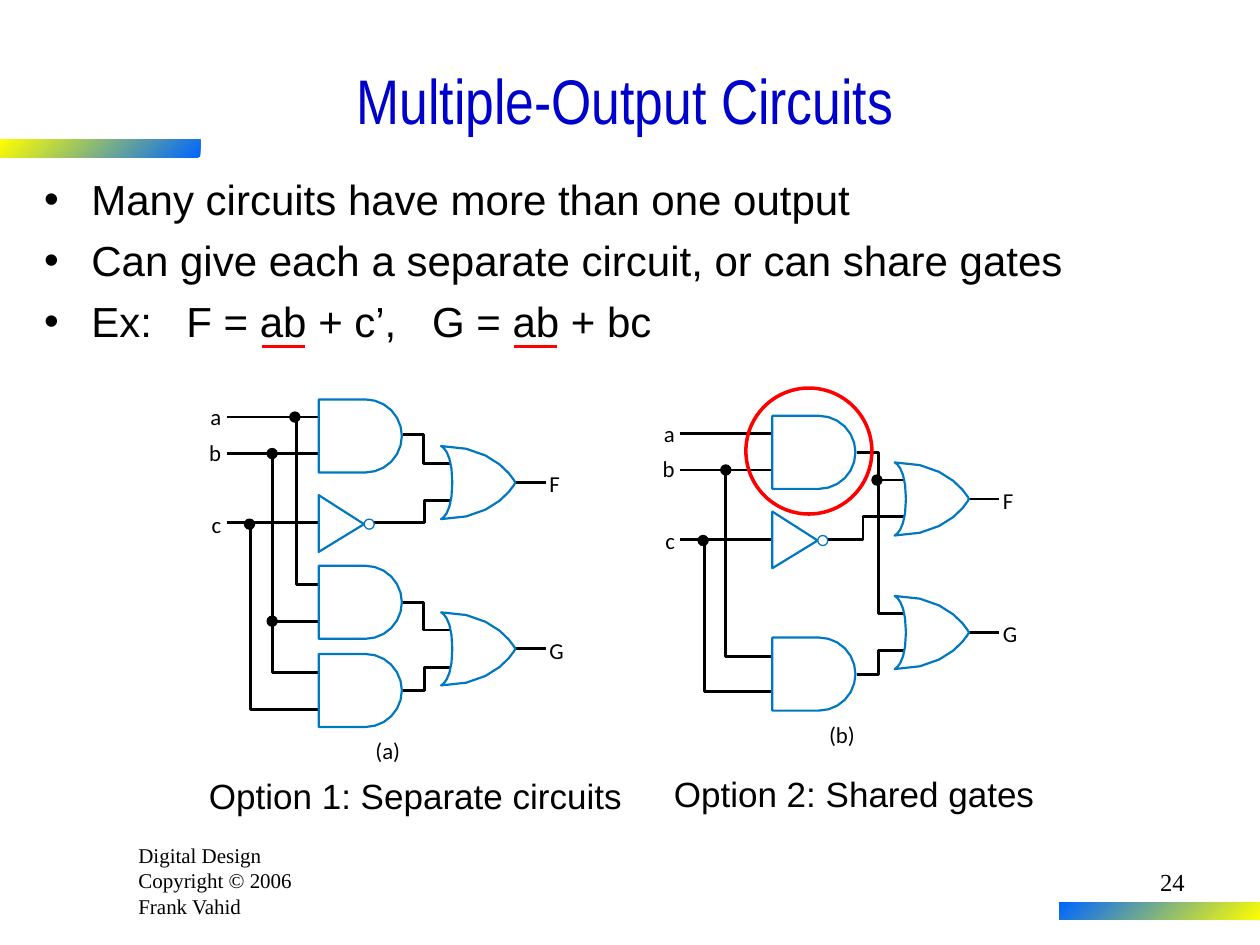
import math
from lxml import etree
from pptx import Presentation
from pptx import util as u
from pptx.dml.color import RGBColor
from pptx.enum import shapes, text
from pptx.oxml import ns

COLORS = {"black": "000000", "white": "FFFFFF", "title": "0000CC", "gate": "0078C1",
          "red": "FF0000", "blue": "0066FF", "yellow": "FFFF00"}
RGB = {name: RGBColor.from_string(value) for name, value in COLORS.items()}

presentation = Presentation()
presentation.slide_width, presentation.slide_height = u.Inches(10), u.Inches(7.5)
slide = presentation.slides.add_slide(presentation.slide_layouts[1])


def add_path(points, color, width, closed=False):
    corners = [(u.Inches(x), u.Inches(y)) for x, y in points]
    if len(corners) == 2:
        shape = slide.shapes.add_connector(shapes.MSO_CONNECTOR.STRAIGHT,
                                           *corners[0], *corners[1])
        etree.SubElement(shape._element.spPr, ns.qn("a:effectLst"))
    else:
        builder = slide.shapes.build_freeform(*corners[0])
        builder.add_line_segments(corners[1:], close=closed)
        shape = builder.convert_to_shape()
        shape.shadow.inherit = False
        if closed:
            shape.fill.solid()
            shape.fill.fore_color.rgb = RGB["white"]
        else:
            shape.fill.background()
    shape.line.color.rgb = RGB[color]
    shape.line.width = u.Pt(width)


def add_text(lines, left, top, width, height, size, font, margins=(0, 0), wrap=False,
             align=text.PP_ALIGN.LEFT):
    box = slide.shapes.add_textbox(*map(u.Inches, (left, top, width, height)))
    frame = box.text_frame
    frame.word_wrap = wrap
    frame.margin_left = frame.margin_right = u.Inches(margins[0])
    frame.margin_top = frame.margin_bottom = u.Inches(margins[1])
    frame.text = lines
    for paragraph in frame.paragraphs:
        paragraph.alignment = align
        paragraph.font.size = u.Pt(size)
        paragraph.font.name = font
        paragraph.font.color.rgb = RGB["black"]


add_text("Digital Design\nCopyright © 2006\nFrank Vahid", 1, 6.64, 1.67, 0.7, 12,
         "Times New Roman", (0.1, 0.05), wrap=True)

for left, top, stops in [(0, 1.11, ("blue", "yellow")), (8.41, 7.16, ("yellow", "blue"))]:
    bar = slide.shapes.add_shape(shapes.MSO_SHAPE.RECTANGLE,
                                 *map(u.Inches, (left, top, 1.59, 0.14)))
    bar.shadow.inherit = False
    bar.line.fill.background()
    bar.fill.gradient()
    bar.fill.gradient_angle = 135
    for stop, color, position in zip(bar.fill.gradient_stops, stops, (0, 1)):
        stop.color.rgb = RGB[color]
        stop.position = position

title = slide.shapes.title
title.left, title.top, title.width, title.height = map(u.Inches, (0.25, 0.33, 9.42, 0.92))
title.text_frame.text = "Multiple-Output Circuits"
title.text_frame.auto_size = text.MSO_AUTO_SIZE.NONE
title.text_frame.vertical_anchor = text.MSO_ANCHOR.MIDDLE
paragraph = title.text_frame.paragraphs[0]
paragraph.alignment = text.PP_ALIGN.CENTER
paragraph.font.size = u.Pt(36)
paragraph.font.name = "Arial Narrow"
paragraph.font.color.rgb = RGB["title"]

body = slide.placeholders[1]
body.left, body.top, body.width, body.height = map(u.Inches, (0.25, 1.33, 9.42, 5.33))
body.text_frame.text = ("Many circuits have more than one output\n"
                        "Can give each a separate circuit, or can share gates\n"
                        "Ex:\tF = ab + c’,\tG = ab + bc")
body.text_frame.auto_size = text.MSO_AUTO_SIZE.NONE
tabs = etree.SubElement(body.text_frame.paragraphs[2]._p.get_or_add_pPr(), ns.qn("a:tabLst"))
for position in (1.13, 3.08):
    etree.SubElement(tabs, ns.qn("a:tab"), pos=str(u.Inches(position)), algn="l")
for index, paragraph in enumerate(body.text_frame.paragraphs):
    paragraph.space_before = u.Pt(6 if index else 0)
    paragraph.font.size = u.Pt(24)
    paragraph.font.name = "Arial"
    paragraph.font.color.rgb = RGB["black"]

angles = [math.pi * (0.5 - step / 12) for step in range(13)]
and_outline = [(0, 0.58)] + [(0.37 + 0.29 * math.cos(angle), 0.29 + 0.29 * math.sin(angle))
                             for angle in angles] + [(0, 0)]
or_curves = [((0.59, 0.29), (0.59, 0.29), (0.45, 0.58), (0, 0.58)),
             ((0, 0.58), (0, 0.58), (0.09, 0.55), (0.09, 0.29)),
             ((0.09, 0.29), (0.09, 0.03), (0, 0), (0, 0)),
             ((0, 0), (0.45, 0), (0.59, 0.29), (0.59, 0.29))]
or_outline = [tuple(sum(math.comb(3, k) * (1 - t) ** (3 - k) * t ** k * curve[k][axis]
                        for k in range(4)) for axis in (0, 1))
              for curve in or_curves for t in (step / 6 for step in range(6))]

circuits = [
    {"name": "(a)", "shift": (0, 0), "name_top": 5.85,
     "and_tops": (3.17, 4.49, 5.19), "or_tops": (3.54, 4.86),
     "dots": [(2.34, 3.31), (2.16, 3.6), (1.98, 4.16), (2.16, 4.93)],
     "wires": [[(2.35, 3.31), (2.35, 4.64), (2.53, 4.64)],
               [(2.16, 3.6), (2.16, 5.34), (2.53, 5.34)],
               [(1.99, 4.15), (1.99, 5.63), (2.53, 5.63)],
               [(2.16, 4.93), (2.53, 4.93)],
               [(3.2, 3.45), (3.36, 3.45), (3.36, 3.68), (3.58, 3.68)],
               [(2.91, 4.15), (3.37, 4.15), (3.37, 3.97), (3.58, 3.97)],
               [(3.2, 4.78), (3.36, 4.78), (3.36, 5), (3.58, 5)],
               [(3.2, 5.48), (3.37, 5.48), (3.37, 5.3), (3.58, 5.3)]]},
    {"name": "(b)", "shift": (3.6, 0.13), "name_top": 5.72,
     "and_tops": (3.3, 5.06), "or_tops": (3.67, 4.73),
     "dots": [(5.76, 3.73), (6.96, 3.81), (5.58, 4.29)],
     "wires": [[(5.76, 3.73), (5.76, 5.21), (6.13, 5.21)],
               [(5.59, 4.28), (5.59, 5.49), (6.13, 5.49)],
               [(6.8, 3.59), (6.97, 3.59), (6.97, 4.87), (7.18, 4.87)],
               [(6.96, 3.81), (7.18, 3.81)],
               [(6.52, 4.28), (6.85, 4.28), (6.85, 4.1), (7.18, 4.1)],
               [(6.8, 5.35), (6.97, 5.35), (6.97, 5.16), (7.18, 5.16)]]},
]

for circuit in circuits:
    dx, dy = circuit["shift"]
    for wire in circuit["wires"]:
        add_path(wire, "black", 1.62)
    for name, left, top, width, wire_y in [("a", 1.67, 3.2, 0.1, 3.31),
                                           ("b", 1.66, 3.48, 0.11, 3.6),
                                           ("c", 1.68, 4.05, 0.09, 4.15)]:
        add_path([(1.8 + dx, wire_y + dy), (2.53 + dx, wire_y + dy)], "black", 1.62)
        add_text(name, left + dx, top + dy, width, 0.22, 13, "Calibri")

    add_path([(x + dx, y + dy) for x, y in [(2.53, 4.38), (2.89, 4.16), (2.53, 3.93)]],
             "gate", 1.25, closed=True)
    circles = [(x, y, "black", "black") for x, y in circuit["dots"]]
    circles.append((2.93 + dx, 4.16 + dy, "white", "gate"))
    for x, y, fill, line in circles:
        circle = slide.shapes.add_shape(shapes.MSO_SHAPE.OVAL,
                                        *map(u.Inches, (x - 0.04, y - 0.04, 0.08, 0.08)))
        circle.shadow.inherit = False
        circle.fill.solid()
        circle.fill.fore_color.rgb = RGB[fill]
        circle.line.color.rgb = RGB[line]
        circle.line.width = u.Pt(0.75)

    for top in circuit["and_tops"]:
        add_path([(2.53 + dx + x, top + y) for x, y in and_outline], "gate", 1.25, closed=True)
    for name, top, width in zip("FG", circuit["or_tops"], (0.09, 0.13)):
        add_path([(4.09 + dx, top + 0.29), (4.33 + dx, top + 0.29)], "black", 1.62)
        add_path([(3.5 + dx + x, top + y) for x, y in or_outline], "gate", 1.25, closed=True)
        add_text(name, 4.36 + dx, top + 0.19, width, 0.22, 13, "Calibri")
    add_text(circuit["name"], 2.98 + dx, circuit["name_top"], 0.25, 0.22, 13, "Calibri")

for caption, left, top, width in [("Option 1: Separate circuits", 1.56, 6.1, 3.48),
                                  ("Option 2: Shared gates", 5.25, 6.08, 3.06)]:
    add_text(caption, left, top, width, 0.44, 20, "Arial", (0.1, 0.05))

for left in (2.08, 4.08):
    add_path([(left, 2.75), (left + 0.34, 2.75)], "red", 2)

highlight = slide.shapes.add_shape(shapes.MSO_SHAPE.OVAL, *map(u.Inches, (5.92, 3.08, 1, 1)))
highlight.shadow.inherit = False
highlight.fill.background()
highlight.line.color.rgb = RGB["red"]
highlight.line.width = u.Pt(2)

add_text("24", 7.42, 6.83, 2.08, 0.5, 14, "Times New Roman", (0.1, 0.05), wrap=True,
         align=text.PP_ALIGN.RIGHT)

presentation.save("out.pptx")
